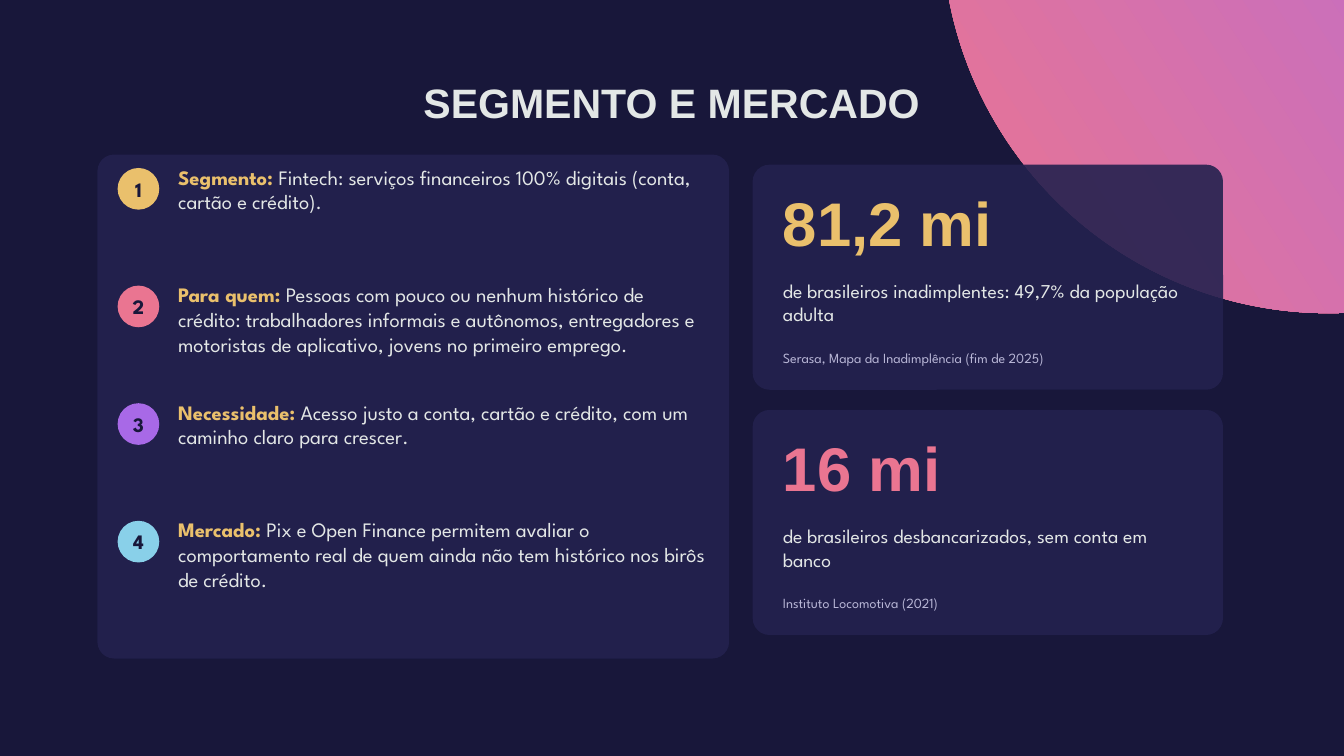
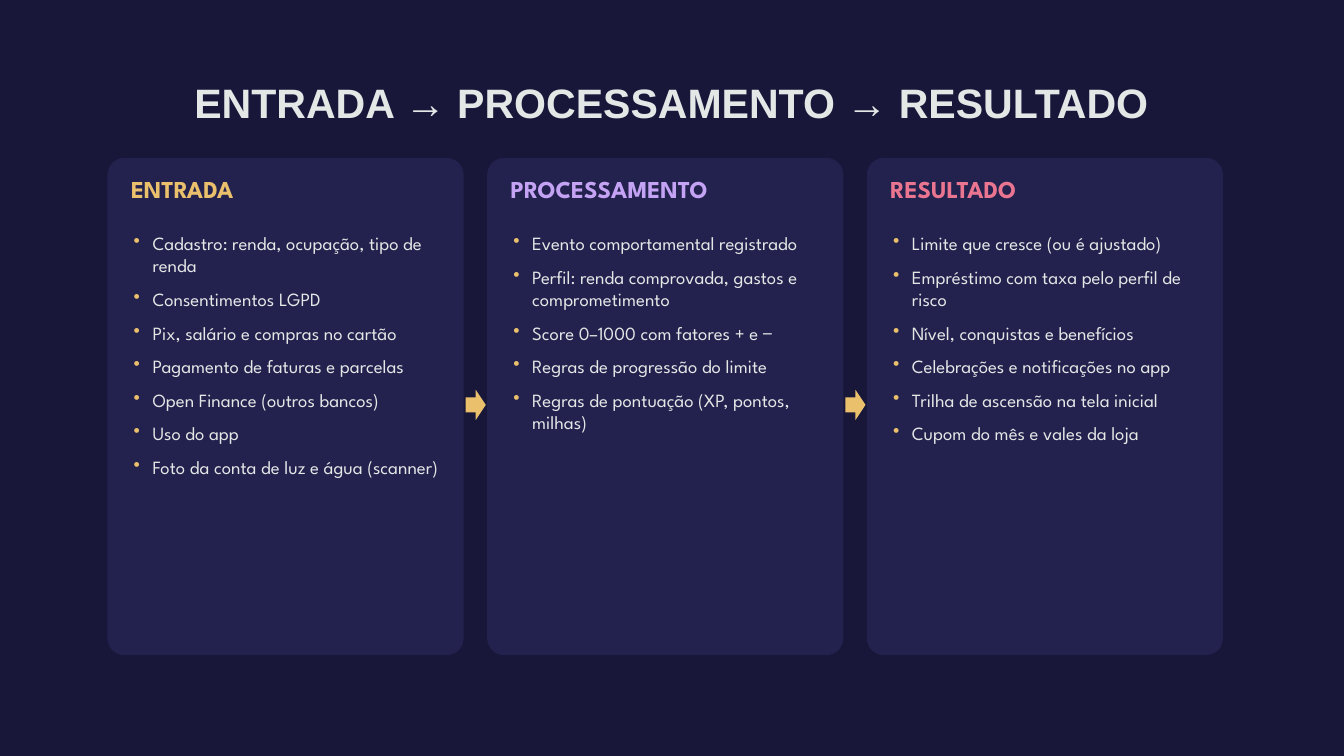
from dataclasses import dataclass
from lxml import etree
from pptx import Presentation
from pptx.dml.color import RGBColor
from pptx.enum.shapes import MSO_SHAPE
from pptx.enum.text import MSO_ANCHOR, MSO_AUTO_SIZE, PP_ALIGN
from pptx.oxml.ns import qn
from pptx.util import Emu, Pt

PX = 9144  # EMU per px, 100 px to the inch


@dataclass(frozen=True)
class Theme:
    # Colours
    night: str = "18173A"
    panel: str = "24224F"
    light: str = "E3E7E6"
    muted: str = "B8B6D6"
    gold: str = "EAC06C"
    pink: str = "EA7591"
    purple: str = "A869E7"
    lilac: str = "C4A3F5"
    sky: str = "89D0E9"
    # Fonts and type sizes
    display: str = "Arial"
    body: str = "League Spartan"
    figure: int = 66
    title: int = 44
    heading: int = 26
    text: int = 22
    caption: int = 21
    item: int = 20
    source: int = 15


T = Theme()


def px(*lengths):
    return [Emu(n * PX) for n in lengths]


class Deck:
    def __init__(self, width, height):
        self.prs = Presentation()
        self.prs.slide_width, self.prs.slide_height = px(width, height)
        self.s = None

    def slide(self):
        self.s = self.prs.slides.add_slide(self.prs.slide_layouts[6])
        fill = self.s.background.fill
        fill.solid()
        fill.fore_color.rgb = RGBColor.from_string(T.night)

    def title(self, text):
        self.text((150, 105, 1700, 95), [[(text, T.light, True)]], T.title, T.display,
                  align=PP_ALIGN.CENTER, anchor=MSO_ANCHOR.MIDDLE)

    def shape(self, kind, box, color, alpha=None, adj=None):
        sp = self.s.shapes.add_shape(kind, *px(*box))
        sp.shadow.inherit = False
        sp.line.fill.background()
        sp.fill.solid()
        sp.fill.fore_color.rgb = RGBColor.from_string(color)
        if alpha is not None:
            clr = sp.element.spPr.find(qn("a:solidFill")).find(qn("a:srgbClr"))
            etree.SubElement(clr, qn("a:alpha"), val=str(alpha * 1000))
        if adj is not None:
            sp.adjustments[0] = adj
        return sp

    def panel(self, box, adj, alpha):
        self.shape(MSO_SHAPE.ROUNDED_RECTANGLE, box, T.panel, alpha, adj)

    def gradient_disc(self, box, start, end, angle):
        sp = self.shape(MSO_SHAPE.OVAL, box, start)
        sp.fill.gradient()
        sp.fill.gradient_angle = angle
        for stop, color in zip(sp.fill.gradient_stops, (start, end)):
            stop.color.rgb = RGBColor.from_string(color)

    def badge(self, box, color, label):
        sp = self.shape(MSO_SHAPE.OVAL, box, color)
        self.set_text(sp.text_frame, [[(label, T.night, True)]], T.text, T.body,
                      align=PP_ALIGN.CENTER, anchor=MSO_ANCHOR.MIDDLE, after=0)

    def text(self, box, paragraphs, size, font=T.body, **format_values):
        tf = self.s.shapes.add_textbox(*px(*box)).text_frame
        self.set_text(tf, paragraphs, size, font, **format_values)
        tf.auto_size = MSO_AUTO_SIZE.SHAPE_TO_FIT_TEXT

    def set_text(self, tf, paragraphs, size, font, align=PP_ALIGN.LEFT,
                 anchor=MSO_ANCHOR.TOP, after=6, bullet=None):
        frame = dict(word_wrap=True, vertical_anchor=anchor, margin_left=0,
                     margin_right=0, margin_top=0, margin_bottom=0)
        for name, value in frame.items():
            setattr(tf, name, value)
        for i, runs in enumerate(paragraphs):
            p = tf.add_paragraph() if i else tf.paragraphs[0]
            if bullet:
                self.add_bullet(p, bullet)
            p.alignment = align
            p.space_after = Pt(after)
            for words, color, bold in runs:
                r = p.add_run()
                r.text = words
                for name, value in dict(size=Pt(size), name=font, bold=bold).items():
                    setattr(r.font, name, value)
                r.font.color.rgb = RGBColor.from_string(color)

    def add_bullet(self, p, color):
        pPr = p._p.get_or_add_pPr()
        pPr.set("marL", str(32 * PX))
        pPr.set("indent", str(-28 * PX))
        clr = etree.SubElement(pPr, qn("a:buClr"))
        etree.SubElement(clr, qn("a:srgbClr"), val=color)
        etree.SubElement(pPr, qn("a:buChar"), char="•")


def market_slide(deck):
    deck.slide()
    deck.gradient_disc((1402, -684, 1150, 1150), T.pink, T.purple, 33)
    deck.title("SEGMENTO E MERCADO")

    # Numbered points
    deck.panel((145, 230, 940, 750), 0.033, 90)
    points = [
        (T.gold, "Segmento: ",
         "Fintech: serviços financeiros 100% digitais (conta, cartão e crédito)."),
        (T.pink, "Para quem: ",
         "Pessoas com pouco ou nenhum histórico de crédito: trabalhadores informais e "
         "autônomos, entregadores e motoristas de aplicativo, jovens no primeiro emprego."),
        (T.purple, "Necessidade: ",
         "Acesso justo a conta, cartão e crédito, com um caminho claro para crescer."),
        (T.sky, "Mercado: ",
         "Pix e Open Finance permitem avaliar o comportamento real de quem ainda não "
         "tem histórico nos birôs de crédito."),
    ]
    for i, (color, label, words) in enumerate(points):
        top = 245 + 175 * i
        deck.badge((175, top + 5, 62, 62), color, str(i + 1))
        deck.text((265, top, 790, 160),
                  [[(label, T.gold, True), (words, T.light, False)]], T.text)

    # Key figures
    figures = [
        ("81,2 mi", T.gold, "de brasileiros inadimplentes: 49,7% da população adulta",
         "Serasa, Mapa da Inadimplência (fim de 2025)"),
        ("16 mi", T.pink, "de brasileiros desbancarizados, sem conta em banco",
         "Instituto Locomotiva (2021)"),
    ]
    for i, (figure, color, caption, source) in enumerate(figures):
        top = 245 + 365 * i
        deck.panel((1120, top, 700, 335), 0.075, 90)
        deck.text((1165, top + 30, 620, 135), [[(figure, color, True)]], T.figure, T.display)
        deck.text((1165, top + 170, 620, 100), [[(caption, T.light, False)]], T.caption)
        deck.text((1165, top + 275, 620, 45), [[(source, T.muted, False)]], T.source)


def flow_slide(deck):
    deck.slide()
    deck.title("ENTRADA → PROCESSAMENTO → RESULTADO")
    stages = [
        ("ENTRADA", T.gold, [
            "Cadastro: renda, ocupação, tipo de renda",
            "Consentimentos LGPD",
            "Pix, salário e compras no cartão",
            "Pagamento de faturas e parcelas",
            "Open Finance (outros bancos)",
            "Uso do app",
            "Foto da conta de luz e água (scanner)"]),
        ("PROCESSAMENTO", T.lilac, [
            "Evento comportamental registrado",
            "Perfil: renda comprovada, gastos e comprometimento",
            "Score 0–1000 com fatores + e −",
            "Regras de progressão do limite",
            "Regras de pontuação (XP, pontos, milhas)"]),
        ("RESULTADO", T.pink, [
            "Limite que cresce (ou é ajustado)",
            "Empréstimo com taxa pelo perfil de risco",
            "Nível, conquistas e benefícios",
            "Celebrações e notificações no app",
            "Trilha de ascensão na tela inicial",
            "Cupom do mês e vales da loja"]),
    ]
    width, gap = 530, 35
    for i, (heading, color, items) in enumerate(stages):
        left = 160 + (width + gap) * i
        # Arrow from the previous stage
        if i:
            deck.shape(MSO_SHAPE.RIGHT_ARROW, (left - 32, 580, 30, 45), T.gold)
        # Stage card
        deck.panel((left, 235, width, 740), 0.047, 92)
        deck.text((left + 35, 260, 460, 60), [[(heading, color, True)]], T.heading)
        deck.text((left + 35, 345, 460, 610), [[(item, T.light, False)] for item in items],
                  T.item, after=12, bullet=T.gold)


def main():
    deck = Deck(2000, 1125)
    market_slide(deck)
    flow_slide(deck)
    deck.prs.save("out.pptx")


if __name__ == "__main__":
    main()
